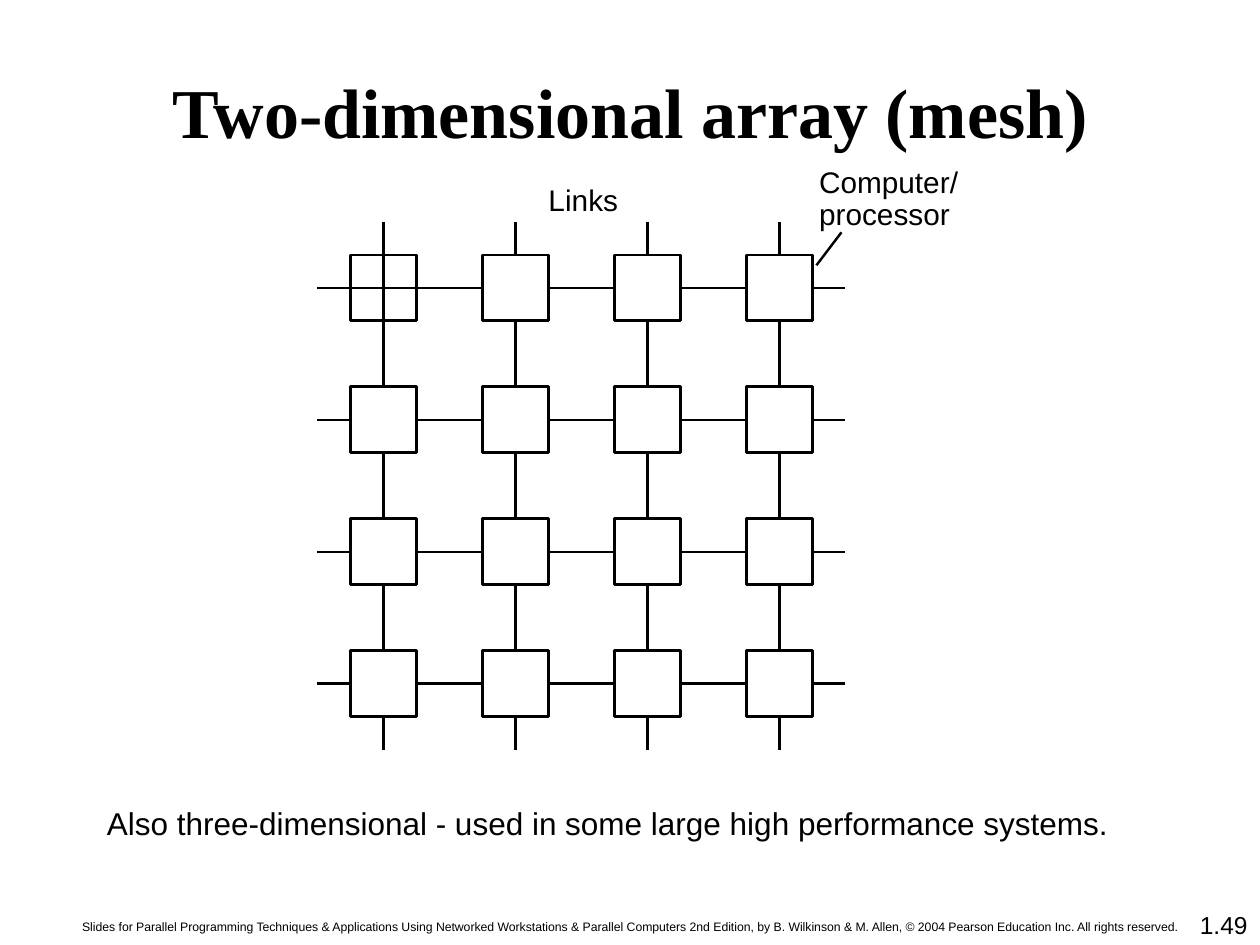
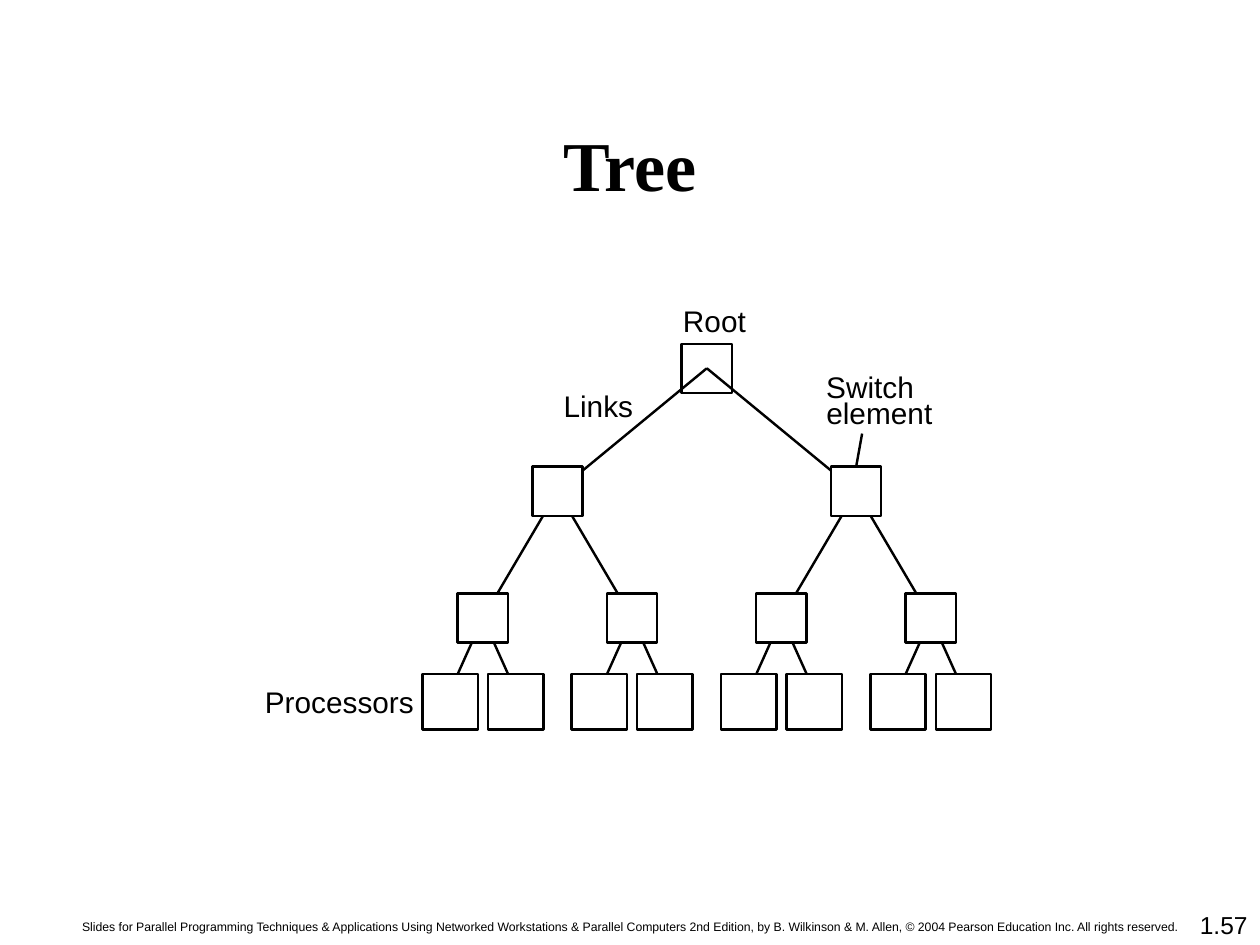
"""Builds two slides on interconnection networks: a mesh and a tree."""
from dataclasses import dataclass

from lxml import etree
from pptx import Presentation
from pptx import util as u
from pptx.dml.color import RGBColor
from pptx.enum import shapes, text
from pptx.oxml.ns import qn

COLORS = {"ink": "000000", "paper": "FFFFFF"}
SANS, SERIF = "Arial", "Times New Roman"
WIDTH, HEIGHT = 10, 7.5
LINE_WIDTH = 1.39
LABEL_HEIGHT = 0.28
CREDIT = (
    "Slides for Parallel Programming Techniques & Applications Using Networked "
    "Workstations & Parallel Computers 2nd Edition, by B. Wilkinson & M. Allen, "
    "© 2004 Pearson Education Inc. All rights reserved."
)


@dataclass
class Box:
    """A region in inches, divided into columns and rows."""

    left: float
    top: float
    width: float
    height: float
    columns: int = 1
    rows: int = 1

    def at(self, column, row):
        """Return the point at a column and row of the region."""
        return (self.left + column * self.width / self.columns,
                self.top + row * self.height / self.rows)

    def emu(self):
        """Return the region's place and size for a shape call."""
        return [u.Inches(n) for n in (self.left, self.top, self.width, self.height)]


def ink(name):
    """Return the named colour."""
    return RGBColor.from_string(COLORS[name])


def write(frame, words, size, font=SANS, align=text.PP_ALIGN.LEFT, bold=False):
    """Write one formatted run in a text frame."""
    paragraph = frame.paragraphs[0]
    paragraph.alignment = align
    run = paragraph.add_run()
    run.text = words
    run.font.size = u.Pt(size)
    run.font.name = font
    run.font.bold = bold
    run.font.color.rgb = ink("ink")


def add_text(slide, box, words, size, align=text.PP_ALIGN.LEFT):
    """Add a wrapping text box."""
    frame = slide.shapes.add_textbox(*box.emu()).text_frame
    frame.word_wrap = True
    write(frame, words, size, align=align)


def add_label(slide, point, width, words):
    """Add a one-line diagram label without margins."""
    frame = slide.shapes.add_textbox(*Box(*point, width, LABEL_HEIGHT).emu()).text_frame
    frame.margin_left = frame.margin_right = frame.margin_top = frame.margin_bottom = 0
    frame.word_wrap = False
    frame.auto_size = text.MSO_AUTO_SIZE.NONE
    write(frame, words, 17)


def add_link(slide, start, end):
    """Draw a straight line between two points."""
    link = slide.shapes.add_connector(
        shapes.MSO_CONNECTOR.STRAIGHT, *[u.Inches(n) for n in (*start, *end)])
    link.line.color.rgb = ink("ink")
    link.line.width = u.Pt(LINE_WIDTH)
    etree.SubElement(link._element.spPr, qn("a:effectLst"))
    return link


def add_node(slide, center, width, height, filled=True):
    """Draw a rectangular node around a centre."""
    x, y = center
    box = Box(x - width / 2, y - height / 2, width, height)
    node = slide.shapes.add_shape(shapes.MSO_SHAPE.RECTANGLE, *box.emu())
    node.shadow.inherit = False
    if filled:
        node.fill.solid()
        node.fill.fore_color.rgb = ink("paper")
    else:
        node.fill.background()
    node.line.color.rgb = ink("ink")
    node.line.width = u.Pt(LINE_WIDTH)
    return node


def add_page(deck, title, title_top, number):
    """Add a slide with its title, credit line and page number."""
    slide = deck.slides.add_slide(deck.slide_layouts[5])
    heading = slide.shapes.title
    heading.left, heading.top, heading.width, heading.height = Box(
        0.075 * WIDTH, title_top, 0.85 * WIDTH, HEIGHT / 6).emu()
    frame = heading.text_frame
    frame.vertical_anchor = text.MSO_ANCHOR.MIDDLE
    frame.auto_size = text.MSO_AUTO_SIZE.NONE
    write(frame, title, 40, SERIF, text.PP_ALIGN.CENTER, True)
    add_text(slide, Box(0, HEIGHT - 0.25, WIDTH, 0.25), CREDIT, 7, text.PP_ALIGN.CENTER)
    add_text(slide, Box(7.92, 7.17, 2.08, 0.5), number, 14, text.PP_ALIGN.RIGHT)
    return slide


def draw_mesh(slide, box):
    """Draw crossing links with a node on each crossing."""
    for column in range(box.columns):
        add_link(slide, box.at(column + 0.5, 0), box.at(column + 0.5, box.rows))
    for row in range(box.rows):
        add_link(slide, box.at(0, row + 0.5), box.at(box.columns, row + 0.5))
    side = box.width / box.columns / 2
    for row in range(box.rows):
        for column in range(box.columns):
            add_node(slide, box.at(column + 0.5, row + 0.5), side, side,
                     filled=(row, column) != (0, 0))
    for words, column, row, width in [("Links", 1.75, -0.3, 0.62),
                                      ("Computer/", 3.8, -0.44, 1.2),
                                      ("processor", 3.8, -0.2, 1.12)]:
        add_label(slide, box.at(column, row), width, words)
    add_link(slide, box.at(3.78, 0.33), box.at(3.97, 0.08))


def draw_tree(slide, box):
    """Draw a binary tree of switches above a row of processors."""
    levels = [[box.at((i + 0.5) / 2 ** depth, row) for i in range(2 ** depth)]
              for depth, row in enumerate([0.06, 0.38, 0.71])]
    for parents, children in zip(levels, levels[1:]):
        for i, child in enumerate(children):
            add_link(slide, parents[i // 2], child)

    leaf_side = 0.44
    leaf_y = box.top + box.height - leaf_side / 2
    for x, y in levels[-1]:
        for side in (-1, 1):
            add_link(slide, (x, y), (x + side * 0.2, leaf_y - leaf_side / 2))
            add_node(slide, (x + side * 0.26, leaf_y), leaf_side, leaf_side)

    switches = [add_node(slide, center, 0.4, 0.39, filled=depth > 0)
                for depth, level in enumerate(levels) for center in level]
    for words, column, row, width in [("Switch", 0.7, 0.06, 0.8),
                                      ("element", 0.7, 0.13, 0.92),
                                      ("Root", 0.46, -0.11, 0.58),
                                      ("Links", 0.26, 0.11, 0.62),
                                      ("Processors", -0.24, 0.88, 1.24)]:
        add_label(slide, box.at(column, row), width, words)
    right_switch = switches[2]
    pointer = add_link(slide, box.at(0.76, 0.23), levels[1][1])
    pointer.end_connect(right_switch, 0)


def main():
    """Build and save the deck."""
    deck = Presentation()
    deck.slide_width, deck.slide_height = u.Inches(WIDTH), u.Inches(HEIGHT)

    mesh = add_page(deck, "Two-dimensional array (mesh)", 0.25, "1.49")
    add_text(mesh, Box(0.75, 6.33, 8.5, 0.5),
             "Also three-dimensional - used in some large high performance systems.", 18)
    draw_mesh(mesh, Box(2.52, 1.76, 4.19, 4.19, columns=4, rows=4))

    tree = add_page(deck, "Tree", 0.67, "1.57")
    draw_tree(tree, Box(3.24, 2.74, 4.74, 3.05))

    deck.save("out.pptx")


if __name__ == "__main__":
    main()
